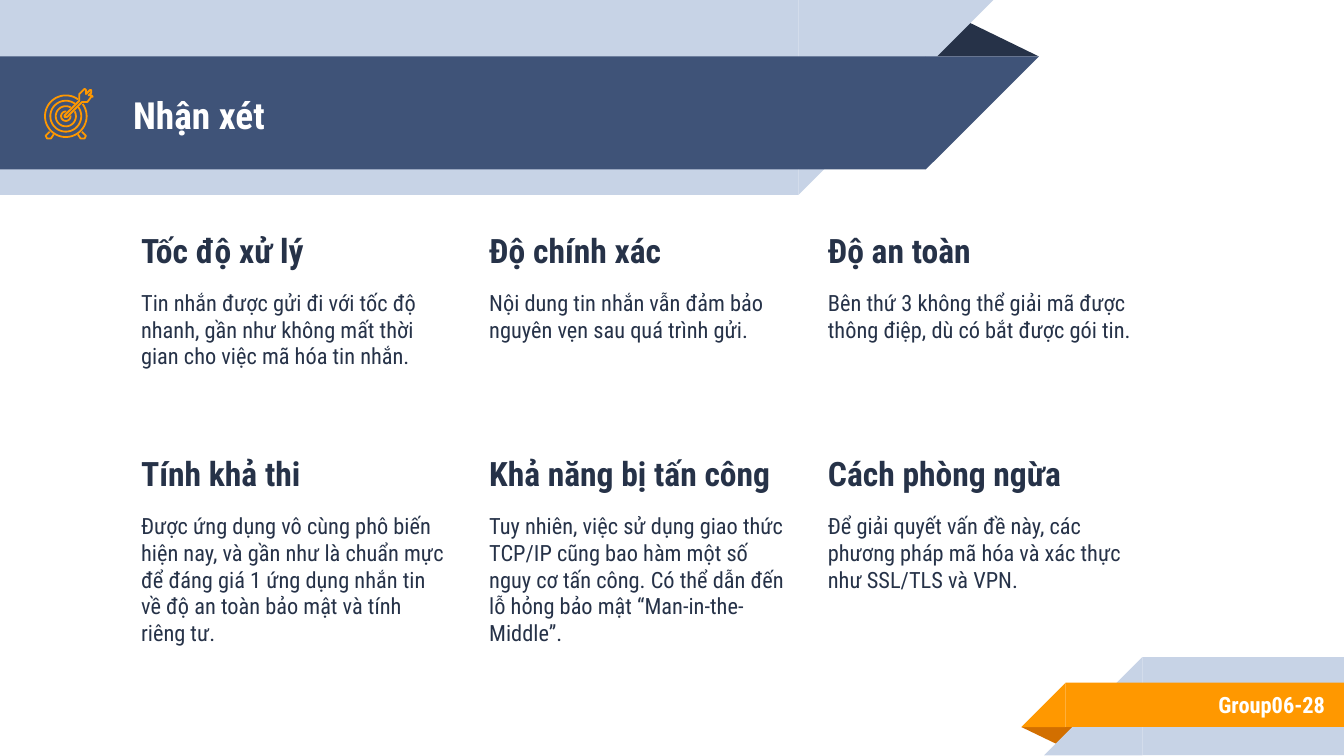
from copy import deepcopy
from math import cos, radians, sin

from pptx import Presentation
from pptx.dml.color import RGBColor
from pptx.enum.shapes import MSO_SHAPE
from pptx.enum.text import MSO_ANCHOR, MSO_AUTO_SIZE, PP_ALIGN
from pptx.oxml.ns import qn
from pptx.util import Inches, Pt

FONT = "Roboto Condensed"
COLORS = {
    "navy": "263248",
    "blue": "3F5378",
    "pale": "C7D3E6",
    "orange": "FF9800",
    "brown": "D26F00",
    "white": "FFFFFF",
}
COLUMNS = [0.95, 3.54, 6.06]
FIRST_ROW, CELL_WIDTH, CELL_HEIGHT = 1.61, 2.46, 1.66
REMARKS = [
    ("Tốc độ xử lý",
     "Tin nhắn được gửi đi với tốc độ nhanh, gần như không mất thời gian cho việc mã hóa tin nhắn."),
    ("Độ chính xác",
     "Nội dung tin nhắn vẫn đảm bảo nguyên vẹn sau quá trình gửi."),
    ("Độ an toàn",
     "Bên thứ 3 không thể giải mã được thông điệp, dù có bắt được gói tin."),
    ("Tính khả thi",
     "Được ứng dụng vô cùng phô biến hiện nay, và gần như là chuẩn mực để đáng giá 1 ứng dụng "
     "nhắn tin về độ an toàn bảo mật và tính riêng tư."),
    ("Khả năng bị tấn công",
     "Tuy nhiên, việc sử dụng giao thức TCP/IP cũng bao hàm một số nguy cơ tấn công. "
     "Có thể dẫn đến lỗ hỏng bảo mật “Man-in-the-Middle”."),
    ("Cách phòng ngừa",
     "Để giải quyết vấn đề này, các phương pháp mã hóa và xác thực như SSL/TLS và VPN."),
]


def place_text_box(shape, box, anchor):
    """Move a text shape and give it the margins and wrapping shared by the slide."""
    shape.left, shape.top, shape.width, shape.height = [Inches(length) for length in box]
    frame = shape.text_frame
    frame.auto_size = MSO_AUTO_SIZE.NONE
    frame.word_wrap = True
    frame.vertical_anchor = anchor
    frame.margin_left = frame.margin_right = Inches(0.1)
    frame.margin_top = frame.margin_bottom = Inches(0.1)
    return frame


def add_text(paragraph, text, size, color, bold=True):
    run = paragraph.add_run()
    run.text = text
    run.font.name = FONT
    run.font.size = Pt(size)
    run.font.bold = bold
    run.font.color.rgb = RGBColor.from_string(COLORS[color])


presentation = Presentation()
presentation.slide_width = Inches(10)
presentation.slide_height = Inches(5.625)

# Give the layout one body placeholder for each remark
layout = presentation.slide_layouts[1]
layout_body = layout.placeholders[1].element
for number in range(1, len(REMARKS)):
    extra_body = deepcopy(layout_body)
    extra_body.nvSpPr.cNvPr.set("id", str(20 + number))
    extra_body.nvSpPr.cNvPr.set("name", f"Remark {number + 1}")
    extra_body.find(".//" + qn("p:ph")).set("idx", str(20 + number))
    layout_body.getparent().append(extra_body)

slide = presentation.slides.add_slide(layout)
title, *bodies = slide.placeholders

# Folded ribbons: preset, box, color, rotation, flipped
TRIANGLE, BAR, SLOPE = MSO_SHAPE.ISOSCELES_TRIANGLE, MSO_SHAPE.RECTANGLE, MSO_SHAPE.RIGHT_TRIANGLE
title_ribbon = [
    (TRIANGLE, (6.88, 0.14, 0.85, 0.28), "navy", 0, False),
    (BAR, (0, 0, 5.94, 1.45), "pale", 0, False),
    (SLOPE, (5.94, 0, 1.45, 1.45), "pale", 180, True),
    (BAR, (0, 0.42, 6.89, 0.84), "blue", 0, False),
    (SLOPE, (6.89, 0.42, 0.84, 0.84), "blue", 180, True),
]
footer_ribbon = [
    (TRIANGLE, (7.6, 5.41, 0.43, 0.14), "brown", 180, False),
    (BAR, (8.5, 4.89, 1.5, 0.73), "pale", 0, False),
    (SLOPE, (7.77, 4.89, 0.73, 0.73), "pale", 0, True),
    (BAR, (7.93, 5.08, 2.07, 0.33), "orange", 0, False),
    (SLOPE, (7.6, 5.08, 0.33, 0.33), "orange", 0, True),
]
for ribbon in (title_ribbon, footer_ribbon):
    group = slide.shapes.add_group_shape()
    for preset, box, color, rotation, flipped in ribbon:
        shape = group.shapes.add_shape(preset, *[Inches(length) for length in box])
        shape.shadow.inherit = False
        shape.fill.solid()
        shape.fill.fore_color.rgb = RGBColor.from_string(COLORS[color])
        shape.line.fill.background()
        shape.rotation = rotation
        if preset == TRIANGLE:
            shape.adjustments[0] = 0.324
        if flipped:
            shape.element.spPr.get_or_add_xfrm().set("flipH", "1")

# Placeholders go in front of the ribbons
for placeholder in (title, *bodies):
    slide.shapes.element.append(placeholder.element)

frame = place_text_box(title, (0.89, 0.43, 5.75, 0.84), MSO_ANCHOR.MIDDLE)
frame.paragraphs[0].alignment = PP_ALIGN.LEFT
add_text(frame.paragraphs[0], "Nhận xét", 20, "white")

for index, (body, (heading, detail)) in enumerate(zip(bodies, REMARKS)):
    row, column = divmod(index, len(COLUMNS))
    box = (COLUMNS[column], FIRST_ROW + row * CELL_HEIGHT, CELL_WIDTH, CELL_HEIGHT)
    frame = place_text_box(body, box, MSO_ANCHOR.TOP)
    heading_paragraph, detail_paragraph = frame.paragraphs[0], frame.add_paragraph()
    for paragraph, space in ((heading_paragraph, 0), (detail_paragraph, 10)):
        properties = paragraph._p.get_or_add_pPr()
        properties.set("marL", "0")
        properties.set("indent", "0")
        properties.append(properties.makeelement(qn("a:buNone"), {}))
        paragraph.space_before = Pt(space)
        paragraph.space_after = Pt(space)
    add_text(heading_paragraph, heading, 18, "navy")
    add_text(detail_paragraph, detail, 12, "navy", bold=False)

footer = slide.shapes.add_textbox(0, 0, 0, 0)
frame = place_text_box(footer, (8.33, 5.07, 1.63, 0.35), MSO_ANCHOR.MIDDLE)
frame.paragraphs[0].alignment = PP_ALIGN.RIGHT
add_text(frame.paragraphs[0], "Group06-28", 12, "white")

# Target icon: rings open towards the upper right, two feet and a dart
CENTER_X, CENTER_Y = 0.49, 0.865
outlines = []
for radius, half_gap in ((0.155, 9), (0.115, 9), (0.075, 16), (0.035, 37)):
    start, sweep = half_gap - 45, 360 - 2 * half_gap
    angles = [radians(start + sweep * step / 48) for step in range(49)]
    ring = [(CENTER_X + radius * cos(angle), CENTER_Y + radius * sin(angle)) for angle in angles]
    outlines.append((ring, False))

left_foot = [(0.37, 0.98), (0.35, 1), (0.34, 1.01), (0.35, 1.03), (0.36, 1.03), (0.38, 1.03), (0.4, 1)]
right_foot = [(2 * CENTER_X - x, y) for x, y in left_foot]
dart = [
    (0.68, 0.71), (0.66, 0.71), (0.68, 0.69), (0.68, 0.67), (0.67, 0.67), (0.64, 0.7),
    (0.64, 0.67), (0.63, 0.66), (0.59, 0.7), (0.59, 0.75), (0.48, 0.86), (0.48, 0.87),
    (0.5, 0.87), (0.61, 0.76), (0.65, 0.76), (0.68, 0.72), (0.69, 0.72),
]
outlines += [(left_foot, False), (right_foot, False), (dart, True)]

icon = slide.shapes.add_group_shape()
for points, closed in outlines:
    corners = [(Inches(x), Inches(y)) for x, y in points]
    builder = icon.shapes.build_freeform(*corners[0])
    builder.add_line_segments(corners[1:], close=closed)
    shape = builder.convert_to_shape()
    shape.shadow.inherit = False
    shape.fill.background()
    shape.line.color.rgb = RGBColor.from_string(COLORS["orange"])
    shape.line.width = Pt(0.96)

presentation.save("out.pptx")
